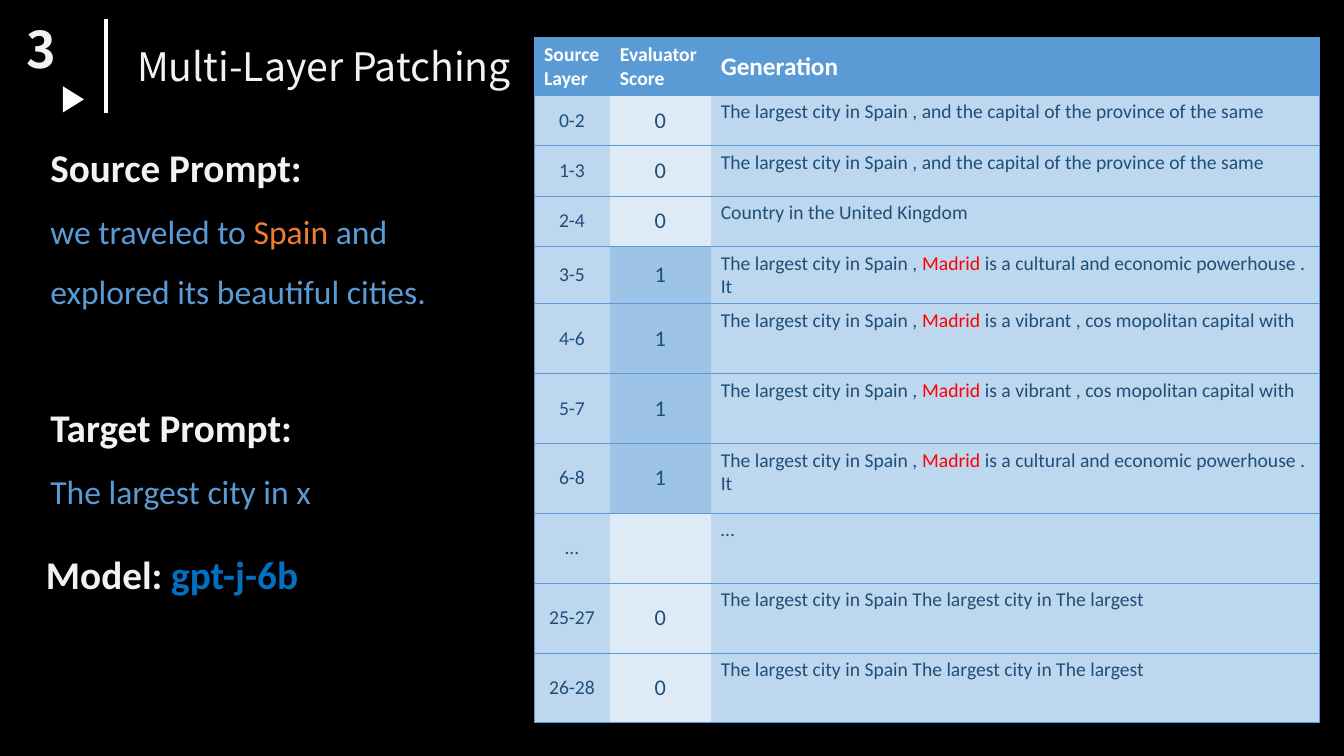
from dataclasses import dataclass

from lxml.etree import SubElement
from pptx import Presentation
from pptx.dml.color import RGBColor
from pptx.enum.shapes import MSO_CONNECTOR, MSO_SHAPE
from pptx.enum.text import MSO_ANCHOR, MSO_AUTO_SIZE, PP_ALIGN
from pptx.oxml.ns import qn
from pptx.util import Cm, Pt


@dataclass(frozen=True)
class Theme:
    background: str = "000000"
    white: str = "FFFFFF"
    heading: str = "F2F2F2"
    blue: str = "5B9BD5"
    orange: str = "ED7D31"
    model: str = "0070C0"
    red: str = "FF0000"
    navy: str = "1F4E79"
    row: str = "BDD7EE"
    score_zero: str = "DEEBF7"
    score_one: str = "9DC3E6"
    title_font: str = "Noto Sans CJK KR"
    body_font: str = "Calibri"
    number_size: int = 36
    heading_size: int = 28
    prompt_size: int = 24
    generation_size: int = 18
    score_size: int = 16
    table_size: int = 14
    border: float = 0.5
    rule: float = 2.25


THEME = Theme()
HEADERS = [
    ("Source Layer", THEME.table_size),
    ("Evaluator Score", THEME.table_size),
    ("Generation", THEME.generation_size),
]
PROVINCE = ["The largest city in Spain , and the capital of the province of the same"]
POWERHOUSE = [
    "The largest city in Spain , ",
    "Madrid",
    " is a cultural and economic powerhouse . It",
]
VIBRANT = [
    "The largest city in Spain , ",
    "Madrid",
    " is a vibrant , cos mopolitan capital with",
]
REPEATED = ["The largest city in Spain The largest city in The largest"]
RESULTS = [
    ("0-2", "0", PROVINCE),
    ("1-3", "0", PROVINCE),
    ("2-4", "0", ["Country in the United Kingdom"]),
    ("3-5", "1", POWERHOUSE),
    ("4-6", "1", VIBRANT),
    ("5-7", "1", VIBRANT),
    ("6-8", "1", POWERHOUSE),
    ("…", "", ["…"]),
    ("25-27", "0", REPEATED),
    ("26-28", "0", REPEATED),
]
COLUMN_WIDTHS = [1.91, 2.54, 15.33]
ROW_HEIGHTS = [1.45] + [1.27] * 3 + [1.25] + [1.76] * 6


def color(value):
    return RGBColor.from_string(value)


def add_span(para, text, size, tint, bold=False, font=THEME.body_font):
    span = para.add_run()
    span.text = text
    span.font.name = font
    span.font.size = Pt(size)
    span.font.bold = bold
    span.font.color.rgb = color(tint)


def place(box, left, top, width, height):
    box.left, box.top = Cm(left), Cm(top)
    box.width, box.height = Cm(width), Cm(height)


def add_title(page, text):
    title = page.shapes.title
    place(title, 3.2, 0.94, 13.72, 1.45)
    frame = title.text_frame
    frame.auto_size = MSO_AUTO_SIZE.NONE
    frame.vertical_anchor = MSO_ANCHOR.MIDDLE
    para = frame.paragraphs[0]
    para.alignment = PP_ALIGN.LEFT
    add_span(para, text, THEME.heading_size, THEME.heading, font=THEME.title_font)


def add_section_number(page, text):
    box = page.shapes.add_textbox(Cm(0.41), Cm(0.33), Cm(1.22), Cm(1.8))
    frame = box.text_frame
    frame.word_wrap = True
    frame.vertical_anchor = MSO_ANCHOR.MIDDLE
    add_span(frame.paragraphs[0], text, THEME.number_size, THEME.heading,
             True, THEME.title_font)


def add_title_rule(page):
    rule = page.shapes.add_connector(
        MSO_CONNECTOR.STRAIGHT, Cm(2.67), Cm(0.48), Cm(2.67), Cm(2.84))
    rule.line.color.rgb = color(THEME.white)
    rule.line.width = Pt(THEME.rule)
    SubElement(rule.element.spPr, qn("a:effectLst"))


def add_marker(page):
    marker = page.shapes.add_shape(
        MSO_SHAPE.ISOSCELES_TRIANGLE, Cm(1.52), Cm(2.24), Cm(0.66), Cm(0.53))
    marker.rotation = 90
    marker.shadow.inherit = False
    marker.fill.solid()
    marker.fill.fore_color.rgb = color(THEME.white)
    marker.line.fill.background()


def add_prompt(page, left, top, width, height, lines):
    box = page.shapes.add_textbox(Cm(left), Cm(top), Cm(width), Cm(height))
    frame = box.text_frame
    frame.word_wrap = True
    for index, spans in enumerate(lines):
        para = frame.add_paragraph() if index else frame.paragraphs[0]
        para.line_spacing = 1.5
        for text, tint in spans:
            heading = index == 0
            size = THEME.heading_size if heading else THEME.prompt_size
            add_span(para, text, size, tint, heading)


def set_borders(cell, visible_sides):
    properties = cell._tc.get_or_add_tcPr()
    for side in ("L", "R", "T", "B"):
        line = SubElement(properties, qn(f"a:ln{side}"), w=str(Pt(THEME.border)))
        if side in visible_sides:
            fill = SubElement(line, qn("a:solidFill"))
            SubElement(fill, qn("a:srgbClr"), val=THEME.blue)
        else:
            SubElement(line, qn("a:noFill"))


def fill_cell(cell, spans, size, fill, tint=THEME.navy, bold=False,
              alignment=PP_ALIGN.LEFT, anchor=MSO_ANCHOR.MIDDLE):
    cell.fill.solid()
    cell.fill.fore_color.rgb = color(fill)
    cell.vertical_anchor = anchor
    para = cell.text_frame.paragraphs[0]
    para.alignment = alignment
    for text in filter(None, spans):
        add_span(para, text, size, THEME.red if text == "Madrid" else tint, bold)


def add_results_table(page):
    table = page.shapes.add_table(
        len(ROW_HEIGHTS), len(COLUMN_WIDTHS), Cm(13.46), Cm(0.95),
        Cm(sum(COLUMN_WIDTHS)), Cm(sum(ROW_HEIGHTS))).table
    for column, width in zip(table.columns, COLUMN_WIDTHS):
        column.width = Cm(width)
    for row, height in zip(table.rows, ROW_HEIGHTS):
        row.height = Cm(height)
        for cell, sides in zip(row.cells, ("LTB", "TB", "RTB")):
            set_borders(cell, sides)
    for cell, (text, size) in zip(table.rows[0].cells, HEADERS):
        fill_cell(cell, [text], size, THEME.blue, THEME.white, True)
    for index, (layer, score, generation) in enumerate(RESULTS, start=1):
        layer_cell, score_cell, generation_cell = table.rows[index].cells
        score_fill = THEME.score_one if score == "1" else THEME.score_zero
        fill_cell(layer_cell, [layer], THEME.table_size, THEME.row,
                  alignment=PP_ALIGN.CENTER)
        fill_cell(score_cell, [score], THEME.score_size, score_fill,
                  alignment=PP_ALIGN.CENTER)
        fill_cell(generation_cell, generation, THEME.table_size, THEME.row,
                  anchor=MSO_ANCHOR.TOP)


def main():
    deck = Presentation()
    deck.slide_width, deck.slide_height = Cm(33.87), Cm(19.05)
    page = deck.slides.add_slide(deck.slide_layouts.get_by_name("Title Only"))
    page.background.fill.solid()
    page.background.fill.fore_color.rgb = color(THEME.background)
    add_title(page, "Multi-Layer Patching")
    add_title_rule(page)
    add_marker(page)
    add_section_number(page, "3")
    add_results_table(page)
    add_prompt(page, 1.02, 2.9, 10.8, 8.84, [
        [("Source Prompt:", THEME.heading)],
        [("we traveled to ", THEME.blue), ("Spain", THEME.orange),
         (" and explored its beautiful cities.", THEME.blue)],
    ])
    add_prompt(page, 1.02, 9.45, 9.27, 6.02, [
        [("Target Prompt:", THEME.heading)],
        [("The largest city in x", THEME.blue)],
    ])
    add_prompt(page, 0.91, 13.16, 9.27, 3.2, [
        [("Model: ", THEME.heading), ("gpt-j-6b", THEME.model)],
    ])
    deck.save("out.pptx")


if __name__ == "__main__":
    main()
